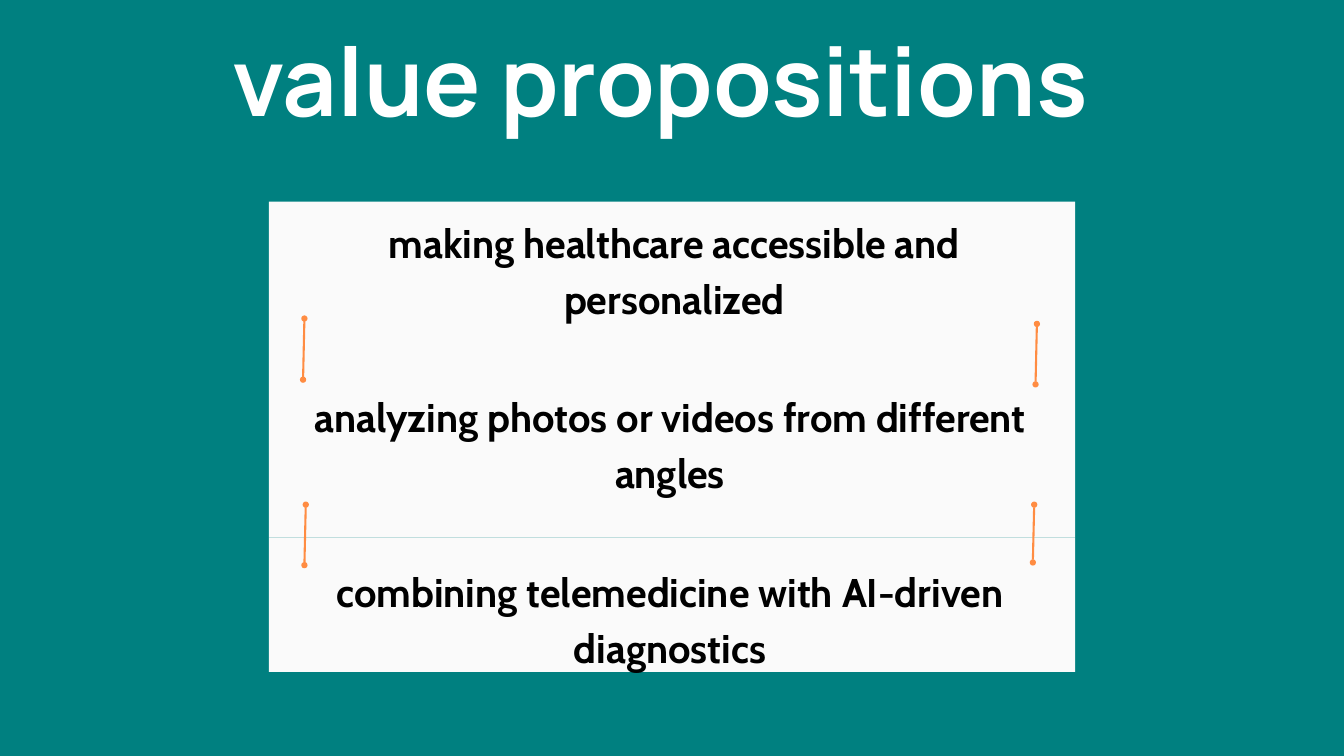
from lxml import etree
from pptx import Presentation
from pptx.dml.color import RGBColor
from pptx.enum.shapes import MSO_CONNECTOR
from pptx.enum.text import MSO_ANCHOR, PP_ALIGN
from pptx.oxml.ns import qn
from pptx.util import Inches, Pt

STRAIGHT = MSO_CONNECTOR.STRAIGHT
CENTER = PP_ALIGN.CENTER
TOP = MSO_ANCHOR.TOP

WIDE, HIGH = 20, 11.25
LEFT, RIGHT = 3.54, 16.4
FIRST, STEP, TALL, NOTCH = 2.87, 2.615, 2.19, 0.43

TEAL, PAPER, ORANGE = "008080", "FAFAFA", "FF8C42"
BLACK, WHITE = "000000", "FFFFFF"

BANNERS = [
    ("making healthcare accessible and personalized", 4.19, 11.69, 0.26),
    ("analyzing photos or videos from different angles", 4.49, 10.96, 0.23),
    ("combining telemedicine with AI-driven diagnostics", 4.49, 10.96, 0.22),
]
LINKS = [
    (4.53, 4.74, 0.91),
    (15.43, 4.82, 0.9),
    (4.55, 7.51, 0.9),
    (15.39, 7.51, 0.86),
]


def paint(fmt, color):
    fmt.solid()
    fmt.fore_color.rgb = RGBColor.from_string(color)


def add_text(slide, text, box, font, size, lead, color):
    frame = slide.shapes.add_textbox(*map(Inches, box)).text_frame
    frame.word_wrap = True
    frame.vertical_anchor = TOP
    frame.margin_left = frame.margin_right = 0
    frame.margin_top = frame.margin_bottom = 0
    frame.text = text
    para = frame.paragraphs[0]
    para.alignment = CENTER
    para.line_spacing = Pt(lead)
    face = para.runs[0].font
    face.name, face.size, face.bold = font, Pt(size), True
    face.color.rgb = RGBColor.from_string(color)


def add_banner(slide, top):
    mid, base = top + TALL / 2, top + TALL
    points = [(LEFT, top), (LEFT + NOTCH, mid), (LEFT, base),
              (RIGHT, base), (RIGHT - NOTCH, mid)]
    build = slide.shapes.build_freeform(RIGHT, top, scale=Inches(1))
    build.add_line_segments(points, close=True)
    shape = build.convert_to_shape()
    shape.shadow.inherit = False
    paint(shape.fill, PAPER)
    shape.line.fill.background()


def add_link(slide, left, top, drop):
    ends = map(Inches, (left, top, left - 0.02, top + drop))
    link = slide.shapes.add_connector(STRAIGHT, *ends)
    link.line.width = Pt(2.25)
    paint(link.line.fill, ORANGE)
    props = link.element.spPr
    line = props.find(qn("a:ln"))
    for tag in ("a:headEnd", "a:tailEnd"):
        etree.SubElement(line, qn(tag), type="oval")
    etree.SubElement(props, qn("a:effectLst"))


def main():
    deck = Presentation()
    deck.slide_width, deck.slide_height = Inches(WIDE), Inches(HIGH)
    slide = deck.slides.add_slide(deck.slide_layouts[6])
    paint(slide.background.fill, TEAL)
    for row, (text, left, width, gap) in enumerate(BANNERS):
        top = FIRST + row * STEP
        add_banner(slide, top)
        box = (left, top + gap, width, 1.64)
        add_text(slide, text, box, "Cabin", 42.9, 60, BLACK)
    for link in LINKS:
        add_link(slide, *link)
    box = (2.44, 0.03, 15.06, 2.01)
    add_text(slide, "value propositions ", box, "Manrope", 102.1, 143, WHITE)
    deck.save("out.pptx")


if __name__ == "__main__":
    main()
